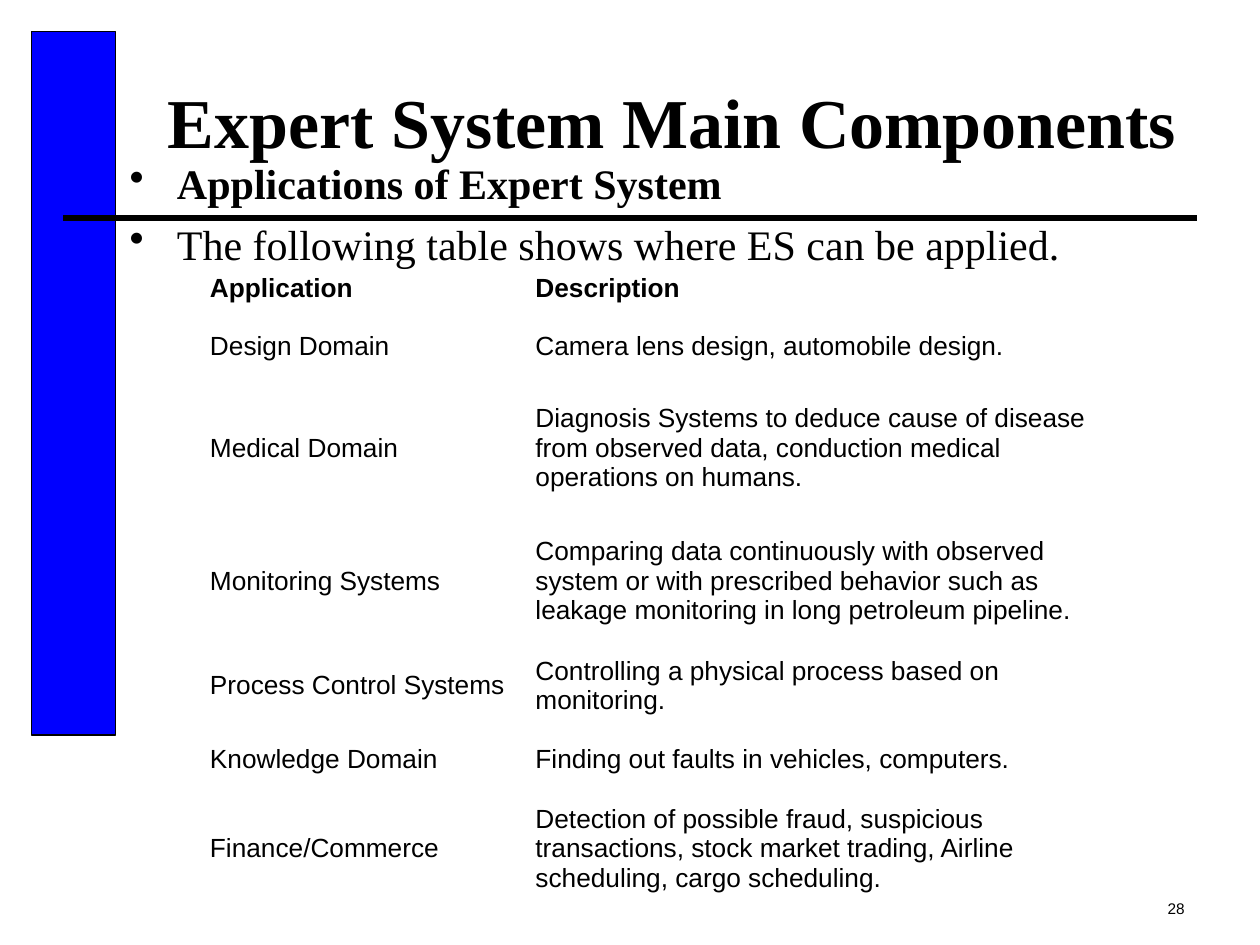
import pptx
import pptx.util
import pptx.dml.color
import pptx.enum.shapes
import pptx.enum.text
import pptx.oxml
import lxml.etree

Pt = pptx.util.Pt
RGBColor = pptx.dml.color.RGBColor
ALIGN = pptx.enum.text.PP_ALIGN
ANCHOR = pptx.enum.text.MSO_ANCHOR
BLACK = RGBColor(0, 0, 0)
BLUE = RGBColor(0, 0, 255)
SERIF = "Times New Roman"
SANS = "Arial"


def add_span(para, text, font, size, bold=False):
    span = para.add_run()
    span.text = text
    span.font.name = font
    span.font.size = Pt(size)
    span.font.bold = bold
    span.font.color.rgb = BLACK


def add_text_box(left, top, width, height, anchor=ANCHOR.TOP):
    box = page.shapes.add_textbox(Pt(left), Pt(top), Pt(width), Pt(height))
    box.text_frame.word_wrap = True
    box.text_frame.vertical_anchor = anchor
    return box.text_frame


deck = pptx.Presentation()
deck.slide_width = Pt(720)
deck.slide_height = Pt(540)
page = deck.slides.add_slide(deck.slide_layouts[6])

number = add_text_box(516, 510, 168, 19.5).paragraphs[0]
number.alignment = ALIGN.RIGHT
add_span(number, "28", SANS, 8.8)

title = add_text_box(84, 24, 600, 90, ANCHOR.MIDDLE).paragraphs[0]
title.alignment = ALIGN.CENTER
add_span(title, "Expert System Main Components", SERIF, 40, True)

body = add_text_box(67, 86.4, 641.5, 366)
points = [
    ("Applications of Expert System", True),
    ("The following table shows where ES can be applied.", False),
]
for index, (text, bold) in enumerate(points):
    para = body.add_paragraph() if index else body.paragraphs[0]
    para.alignment = ALIGN.JUSTIFY
    para.space_before = Pt(6)
    properties = para._p.get_or_add_pPr()
    properties.set("marL", str(Pt(27)))
    properties.set("indent", str(Pt(-27)))
    bullet = lxml.etree.SubElement(properties, pptx.oxml.ns.qn("a:buChar"))
    bullet.set("char", "•")
    add_span(para, text, SERIF, 24, bold)

band = page.shapes.add_shape(
    pptx.enum.shapes.MSO_SHAPE.RECTANGLE, Pt(18), Pt(18), Pt(48), Pt(402)
)
band.shadow.inherit = False
band.fill.solid()
band.fill.fore_color.rgb = BLUE
band.line.color.rgb = BLACK
band.line.width = Pt(0.75)

rule = page.shapes.add_connector(
    pptx.enum.shapes.MSO_CONNECTOR.STRAIGHT, Pt(36), Pt(124.5), Pt(684), Pt(124.5)
)
rule.line.color.rgb = BLACK
rule.line.width = Pt(3)
lxml.etree.SubElement(rule._element.spPr, pptx.oxml.ns.qn("a:effectLst"))

rows = [
    (24, "Application", "Description"),
    (41, "Design Domain", "Camera lens design, automobile design."),
    (75.5, "Medical Domain", "Diagnosis Systems to deduce cause of disease from observed data, "
     "conduction medical operations on humans."),
    (76.5, "Monitoring Systems", "Comparing data continuously with observed system or with "
     "prescribed behavior such as leakage monitoring in long petroleum pipeline."),
    (41.5, "Process Control Systems", "Controlling a physical process based on monitoring."),
    (41, "Knowledge Domain", "Finding out faults in vehicles, computers."),
    (60, "Finance/Commerce", "Detection of possible fraud, suspicious transactions, "
     "stock market trading, Airline scheduling, cargo scheduling."),
]
table = page.shapes.add_table(
    len(rows), 2, Pt(114), Pt(152), Pt(526), Pt(359.5)
).table
table.first_row = False
table.horz_banding = False
table_style = table._tbl.tblPr.find(pptx.oxml.ns.qn("a:tableStyleId"))
table_style.text = "{2D5ABB26-0587-4C30-8999-92F81FD0307C}"
for column, width in zip(table.columns, (186, 340)):
    column.width = Pt(width)
for index, (height, *texts) in enumerate(rows):
    table.rows[index].height = Pt(height)
    for cell, text in zip(table.rows[index].cells, texts):
        cell.fill.background()
        cell.vertical_anchor = ANCHOR.MIDDLE
        cell.margin_left = cell.margin_right = Pt(6)
        cell.margin_top = cell.margin_bottom = Pt(3.6)
        add_span(cell.text_frame.paragraphs[0], text, SANS, 15, index == 0)

deck.save("out.pptx")
